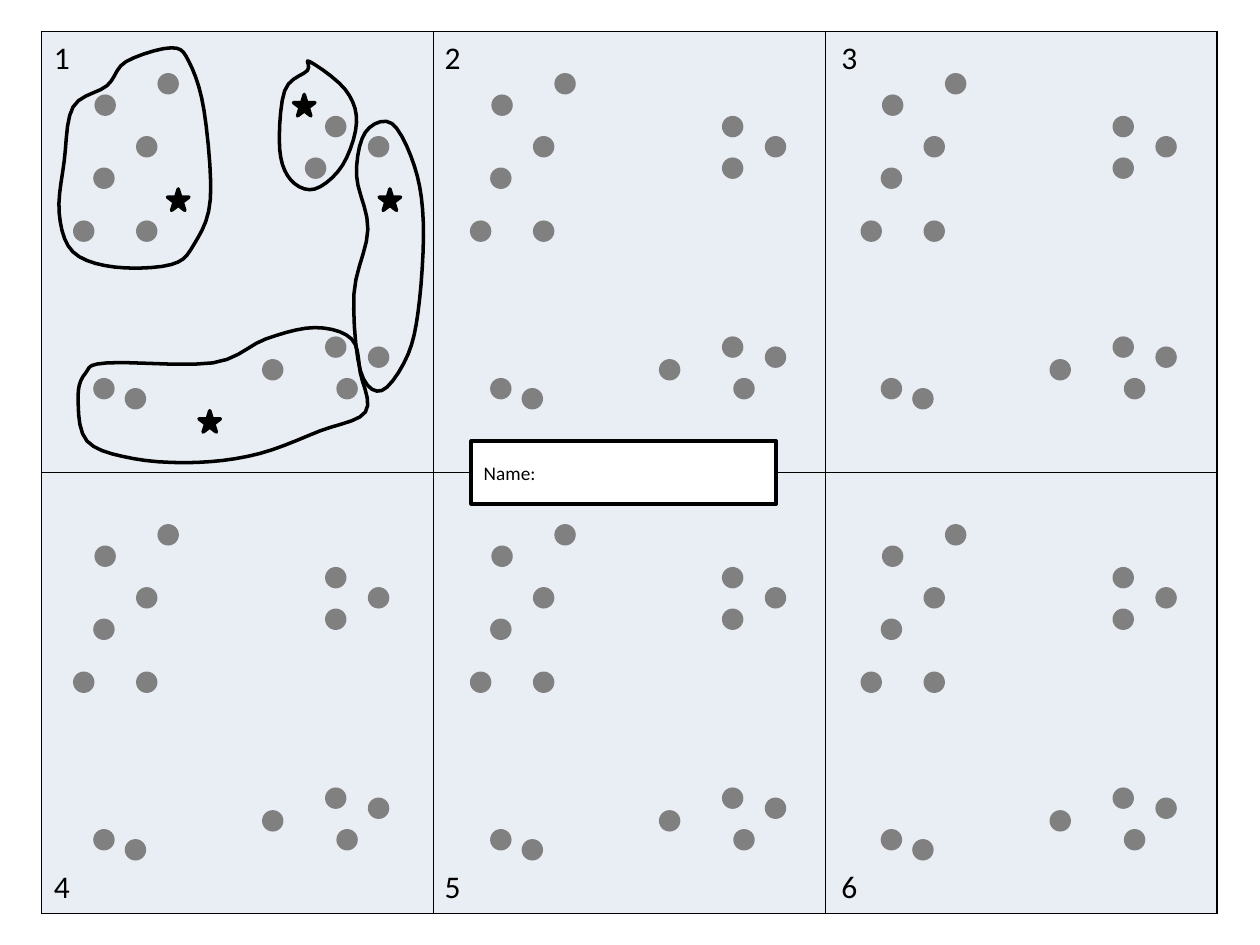
from itertools import product
from typing import NamedTuple

from lxml.etree import SubElement
from pptx import Presentation
from pptx.dml.color import RGBColor
from pptx.enum.shapes import MSO_SHAPE
from pptx.enum.text import MSO_ANCHOR, PP_ALIGN
from pptx.oxml.ns import qn
from pptx.util import Pt

PX = 9144
INK, DOT, PANEL, WHITE = "000000", "808080", "E9EDF4", "FFFFFF"
SIZE = 17
STEPS = 5


class Spot(NamedTuple):
    x: int
    y: int


DOTS = [Spot(*p) for p in (
    (75, 75), (74, 133), (108, 175), (58, 175), (125, 58), (108, 108),
    (292, 108), (258, 92), (258, 125), (99, 308), (74, 300), (258, 267),
    (267, 300), (292, 275), (208, 285))]
MOVED = {Spot(258, 125): Spot(242, 125)}
STARS = [Spot(233, 75), Spot(301, 150), Spot(133, 150), Spot(158, 326)]
SHIFTS = [Spot(x, y) for y, x in product((0, 358), (0, 315, 625))]
LABELS = [Spot(x, y) for y, x in product((25, 683), (33, 343, 658))]
RINGS = [[Spot(*p) for p in ring] for ring in (
    ((250, 260), (279, 269), (286, 296), (290, 327), (254, 342),
     (206, 360), (157, 367), (106, 364), (69, 350), (62, 315),
     (68, 296), (85, 288), (169, 288), (211, 269)),
    ((311, 98), (329, 132), (336, 176), (333, 238), (324, 281),
     (303, 310), (286, 294), (281, 233), (292, 182), (283, 139),
     (290, 105)),
    ((246, 49), (274, 71), (283, 97), (272, 131), (250, 150),
     (231, 143), (222, 118), (226, 72), (244, 56)),
    ((100, 49), (85, 68), (58, 85), (51, 128), (47, 169), (58, 200),
     (91, 212), (136, 210), (154, 194), (167, 158), (162, 88),
     (150, 49), (136, 38)))]


def tint(code: str) -> RGBColor:
    """Return the colour for a hex string."""
    return RGBColor.from_string(code)


def write(frame, text: str, *, size: int, color: str = INK,
          font: str = "Calibri", anchor=MSO_ANCHOR.TOP) -> None:
    """Put one left-aligned line of text into a frame."""
    frame.word_wrap = True
    frame.vertical_anchor = anchor
    para = frame.paragraphs[0]
    para.alignment = PP_ALIGN.LEFT
    run = para.add_run()
    run.text = text
    run.font.size = Pt(size)
    run.font.name = font
    run.font.color.rgb = tint(color)


def paint(shape, fill: str | None, line: str | None) -> None:
    """Set fill and line of a shape and drop its shadow."""
    shape.shadow.inherit = False
    if fill:
        shape.fill.solid()
        shape.fill.fore_color.rgb = tint(fill)
    else:
        shape.fill.background()
    if line:
        shape.line.color.rgb = tint(line)
        shape.line.width = Pt(2)
    else:
        shape.line.fill.background()


def mark(slide, kind, spot: Spot, fill: str, line: str | None = None,
         wide: int = SIZE, high: int = SIZE):
    """Add a preset shape at a spot."""
    shape = slide.shapes.add_shape(
        kind, spot.x * PX, spot.y * PX, wide * PX, high * PX)
    paint(shape, fill, line)
    return shape


def blend(a: int, b: int, c: int, d: int, t: float) -> int:
    """Return a point in EMU on the smooth curve from b to c."""
    bend = 2 * a - 5 * b + 4 * c - d
    twist = 3 * (b - c) + d - a
    return round(PX * (b + t * (c - a + t * (bend + t * twist)) / 2))


def trace(slide, ring: list[Spot]) -> None:
    """Draw a smooth closed ring through its spots."""
    count = len(ring)
    curve = []
    for turn, step in product(range(count), range(STEPS)):
        near = [ring[(turn + k) % count] for k in (-1, 0, 1, 2)]
        curve.append(tuple(blend(*axis, step / STEPS) for axis in zip(*near)))
    pen = slide.shapes.build_freeform(*curve[0])
    pen.add_line_segments(curve[1:], close=True)
    paint(pen.convert_to_shape(), None, INK)


def edge(cell) -> None:
    """Fill a cell and give it thin borders."""
    props = cell._tc.get_or_add_tcPr()
    for side in ("lnL", "lnR", "lnT", "lnB"):
        line = SubElement(props, qn(f"a:{side}"), w=str(Pt(1)))
        solid = SubElement(line, qn("a:solidFill"))
        SubElement(solid, qn("a:srgbClr"), val=INK)
    cell.fill.solid()
    cell.fill.fore_color.rgb = tint(PANEL)


def grid(slide) -> None:
    """Add the table of six panels."""
    table = slide.shapes.add_table(
        2, 3, 33 * PX, 25 * PX, 933 * PX, 700 * PX).table
    table.first_row = table.horz_banding = False
    for cell in table.iter_cells():
        edge(cell)


def main() -> None:
    """Build the slide and save it."""
    deck = Presentation()
    deck.slide_width, deck.slide_height = 1000 * PX, 750 * PX
    slide = deck.slides.add_slide(deck.slide_layouts[6])
    grid(slide)
    for turn, shift in enumerate(SHIFTS):
        for dot in DOTS:
            spot = MOVED.get(dot, dot) if turn == 0 else dot
            mark(slide, MSO_SHAPE.OVAL,
                 Spot(spot.x + shift.x, spot.y + shift.y), DOT)
    for star in STARS:
        mark(slide, MSO_SHAPE.STAR_5_POINT, star, INK, INK)
    name = mark(slide, MSO_SHAPE.RECTANGLE, Spot(374, 350), WHITE, INK, 242, 50)
    write(name.text_frame, "Name:", size=11, anchor=MSO_ANCHOR.MIDDLE)
    for count, spot in enumerate(LABELS, 1):
        box = slide.shapes.add_textbox(
            spot.x * PX, spot.y * PX, 33 * PX, 40 * PX)
        write(box.text_frame, str(count), size=18)
    for ring in RINGS:
        trace(slide, ring)
    deck.save("out.pptx")


if __name__ == "__main__":
    main()
